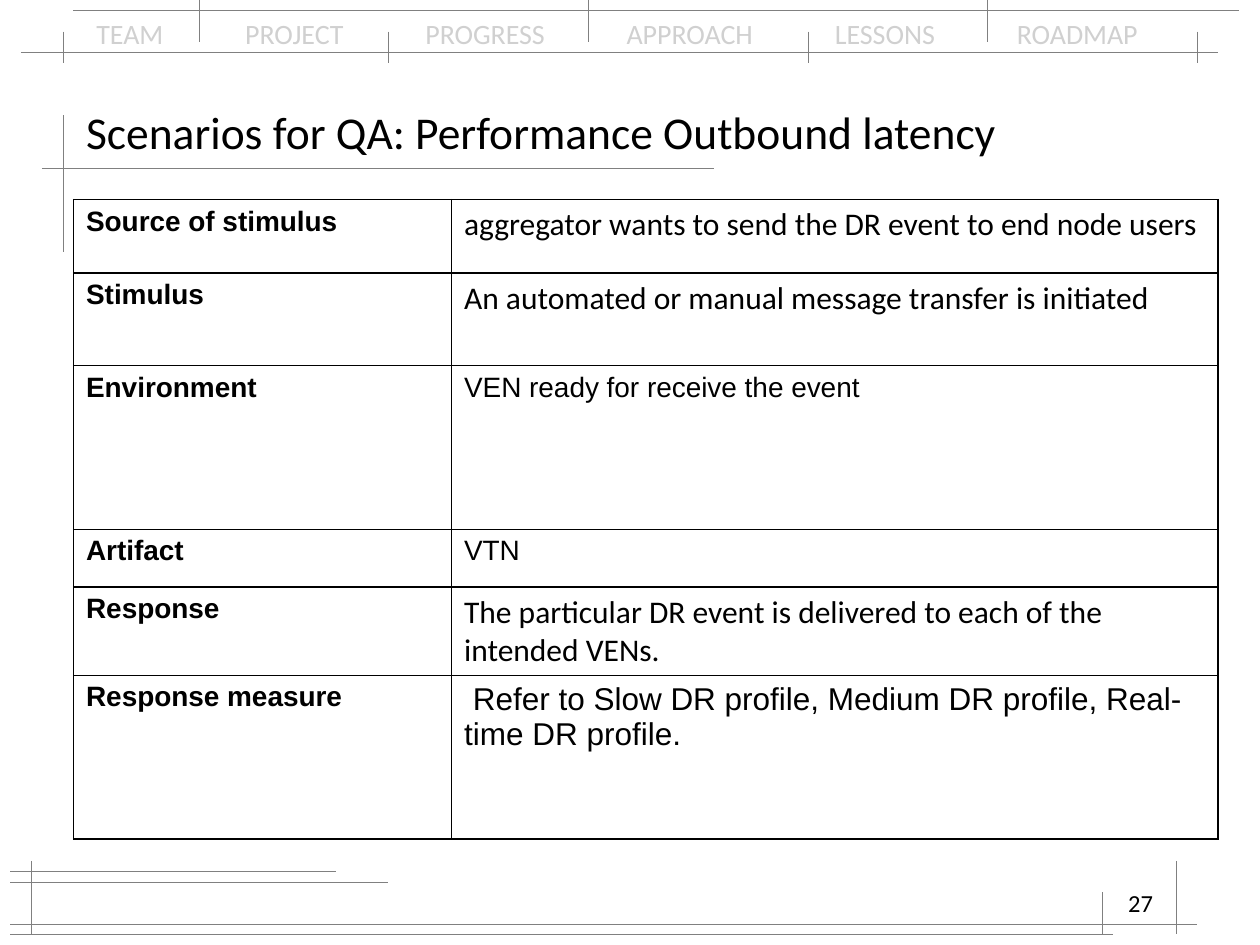
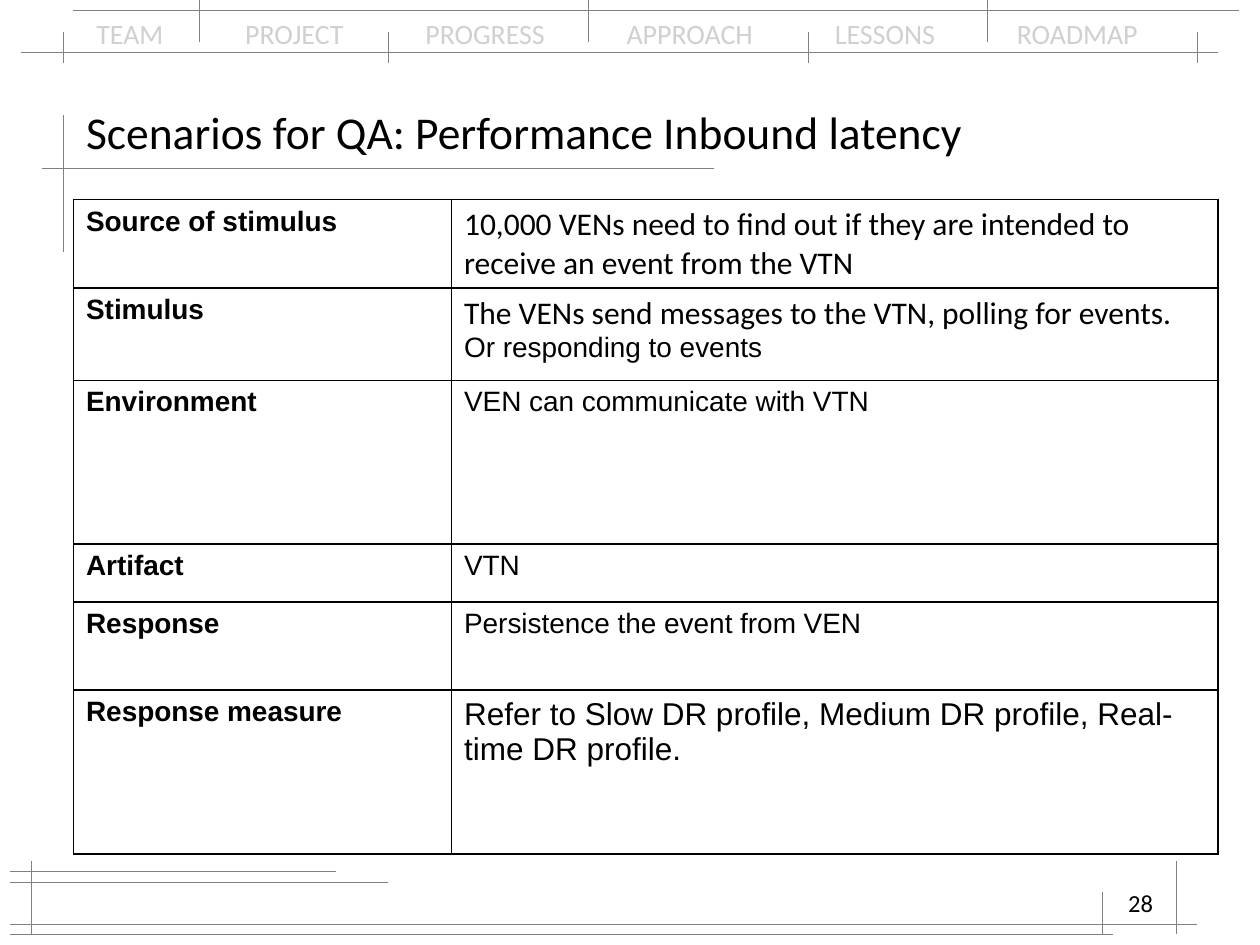
"""Build two quality attribute scenario slides with a shared navigation frame."""
from lxml import etree
from pptx import Presentation
from pptx.dml.color import RGBColor
from pptx.enum.text import MSO_ANCHOR, MSO_AUTO_SIZE, PP_ALIGN
from pptx.enum.shapes import MSO_CONNECTOR
from pptx.oxml.ns import qn
from pptx.util import Pt

BLACK = RGBColor(0x00, 0x00, 0x00)
WHITE = RGBColor(0xFF, 0xFF, 0xFF)
LINE_GRAY = RGBColor(0x80, 0x80, 0x80)
NAV_GRAY = RGBColor(0xD0, 0xD0, 0xD0)
STRAIGHT = MSO_CONNECTOR.STRAIGHT
LEFT, RIGHT = PP_ALIGN.LEFT, PP_ALIGN.RIGHT
MIDDLE = MSO_ANCHOR.MIDDLE
NO_AUTOFIT = MSO_AUTO_SIZE.NONE
HEADING_FONT, TABLE_FONT = "Calibri", "Arial"
TITLE_ONLY = 5

NAV_LABELS = ("TEAM", "PROJECT", "PROGRESS", "APPROACH", "LESSONS", "ROADMAP")
NAV_TABS = (85, 188, 303, 422, 526)

# Horizontal rules are (y, x1, x2); vertical rules are (x, y1, y2).
HORIZONTAL_RULES = (
    (30, 12, 696), (6, 42, 708), (96, 24, 408), (504, 6, 222),
    (528, 6, 684), (498, 6, 192), (534, 6, 636),
)
VERTICAL_RULES = (
    (36, 66, 144), (18, 492, 534), (672, 492, 534), (630, 510, 534),
    *((x, 18, 36) for x in (36, 222, 462, 684)),
    *((x, 0, 24) for x in (114, 336, 564)),
)

COLUMN_WIDTHS = (216, 438)
ROW_HEIGHTS = (42, 53, 93.5, 33, 50.5, 93.5)
ROW_LABELS = ("Source of stimulus", "Stimulus", "Environment",
              "Artifact", "Response", "Response measure")
CALIBRI_18 = (HEADING_FONT, 18)
ARIAL_16 = (TABLE_FONT, 16)
ARIAL_18 = (TABLE_FONT, 18)

SCENARIOS = (
    ("27", "Scenarios for QA: Performance Outbound latency", (
        [("aggregator wants to send the DR event to end node users", CALIBRI_18)],
        [("An automated or manual message transfer is initiated", CALIBRI_18)],
        [("VEN ready for receive the event", ARIAL_16)],
        [("VTN", ARIAL_16)],
        [("The particular DR event is delivered to each of the intended VENs.",
          CALIBRI_18)],
        [(" Refer to Slow DR profile, Medium DR profile, Real-time DR profile.",
          ARIAL_18)],
    )),
    ("28", "Scenarios for QA: Performance Inbound latency", (
        [("10,000 VENs need to find out if they are intended to receive "
          "an event from the VTN", CALIBRI_18)],
        [("The VENs send messages to the VTN, polling for events.", CALIBRI_18),
         ("Or responding to events", ARIAL_16)],
        [("VEN can communicate with VTN", ARIAL_16)],
        [("VTN", ARIAL_16)],
        [("Persistence the event from VEN", ARIAL_16)],
        [("Refer to Slow DR profile, Medium DR profile, Real-time DR profile.",
          ARIAL_18)],
    )),
)


def add_run(p, text, font, size, color=BLACK, bold=False):
    """Append one formatted run to a paragraph."""
    r = p.add_run()
    r.text = text
    r.font.name, r.font.size, r.font.bold = font, Pt(size), bold
    r.font.color.rgb = color


def add_text_box(slide, left, top, width, height, align=LEFT):
    """Add a wrapping text box and return its first paragraph."""
    tf = slide.shapes.add_textbox(Pt(left), Pt(top), Pt(width), Pt(height)).text_frame
    tf.word_wrap = True
    p = tf.paragraphs[0]
    p.alignment = align
    return p


def add_rule(slide, x1, y1, x2, y2):
    """Draw one hairline of the frame."""
    sp = slide.shapes.add_connector(STRAIGHT, Pt(x1), Pt(y1), Pt(x2), Pt(y2))
    sp.line.color.rgb = LINE_GRAY
    sp.line.width = Pt(0.3)
    etree.SubElement(sp._element.spPr, qn("a:effectLst"))


def add_nav(slide):
    """Write the navigation labels on tab stops."""
    p = add_text_box(slide, 48, 6, 624, 27)
    tabs = etree.SubElement(p._p.get_or_add_pPr(), qn("a:tabLst"))
    for position in NAV_TABS:
        etree.SubElement(tabs, qn("a:tab"), pos=str(Pt(position)), algn="l")
    add_run(p, "\t".join(NAV_LABELS), HEADING_FONT, 16, NAV_GRAY)


def add_frame(slide, number):
    """Add the navigation, hairlines and page number shared by the slides."""
    slide.background.fill.solid()
    slide.background.fill.fore_color.rgb = WHITE
    add_nav(slide)
    for y, x1, x2 in HORIZONTAL_RULES:
        add_rule(slide, x1, y, x2, y)
    for x, y1, y2 in VERTICAL_RULES:
        add_rule(slide, x, y1, x, y2)
    p = add_text_box(slide, 516, 504, 150, 36, RIGHT)
    add_run(p, number, HEADING_FONT, 14)


def set_title(slide, text):
    """Place and fill the title placeholder."""
    sp = slide.shapes.title
    sp.left, sp.top, sp.width, sp.height = Pt(42), Pt(54), Pt(636), Pt(42)
    tf = sp.text_frame
    tf.auto_size = NO_AUTOFIT
    tf.vertical_anchor = MIDDLE
    p = tf.paragraphs[0]
    p.alignment = LEFT
    add_run(p, text, HEADING_FONT, 26)


def set_borders(cell):
    """Give a cell a black 1 pt border on every side."""
    tcPr = cell._tc.get_or_add_tcPr()
    for side in ("lnL", "lnR", "lnT", "lnB"):
        ln = etree.SubElement(tcPr, qn(f"a:{side}"), w=str(Pt(1)))
        fill = etree.SubElement(ln, qn("a:solidFill"))
        etree.SubElement(fill, qn("a:srgbClr"), val=str(BLACK))


def fill_cell(cell, paragraphs, bold=False):
    """Write paragraphs of (text, (font, size)) into a bordered cell."""
    set_borders(cell)
    cell.fill.background()
    tf = cell.text_frame
    for i, (text, (font, size)) in enumerate(paragraphs):
        p = tf.add_paragraph() if i else tf.paragraphs[0]
        add_run(p, text, font, size, bold=bold)


def add_scenario_table(slide, answers):
    """Add the table of scenario parts and their answers."""
    table = slide.shapes.add_table(
        len(ROW_LABELS), len(COLUMN_WIDTHS), Pt(42), Pt(114),
        Pt(sum(COLUMN_WIDTHS)), Pt(sum(ROW_HEIGHTS))).table
    table.first_row = table.horz_banding = False
    for column, width in zip(table.columns, COLUMN_WIDTHS):
        column.width = Pt(width)
    for row, height, label, answer in zip(table.rows, ROW_HEIGHTS, ROW_LABELS, answers):
        row.height = Pt(height)
        fill_cell(row.cells[0], [(label, ARIAL_16)], bold=True)
        fill_cell(row.cells[1], answer)


def main():
    """Build and save the presentation."""
    prs = Presentation()
    prs.slide_width, prs.slide_height = Pt(720), Pt(540)
    for number, title, answers in SCENARIOS:
        slide = prs.slides.add_slide(prs.slide_layouts[TITLE_ONLY])
        add_frame(slide, number)
        set_title(slide, title)
        add_scenario_table(slide, answers)
    prs.save("out.pptx")


if __name__ == "__main__":
    main()
